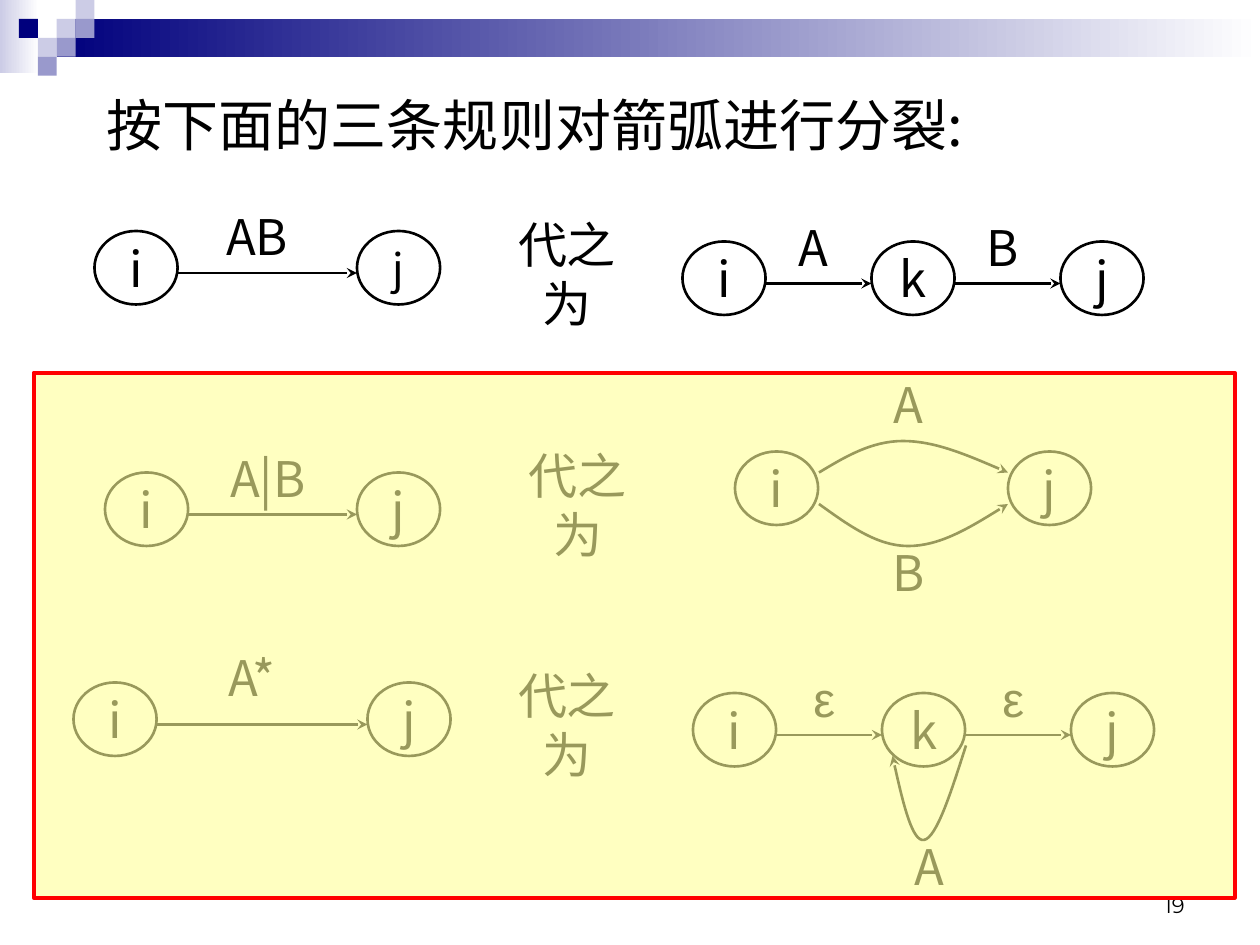
from itertools import pairwise
from lxml.etree import SubElement
from pptx import Presentation
from pptx.dml.color import RGBColor
from pptx.enum.shapes import MSO_CONNECTOR, MSO_SHAPE
from pptx.enum.text import MSO_ANCHOR, PP_ALIGN
from pptx.oxml.ns import qn
from pptx.util import Inches, Pt

RECT, OVAL = MSO_SHAPE.RECTANGLE, MSO_SHAPE.OVAL
LINE = MSO_CONNECTOR.STRAIGHT
TOP, MID, LOW = MSO_ANCHOR.TOP, MSO_ANCHOR.MIDDLE, MSO_ANCHOR.BOTTOM
CENTER, RIGHT, JUST = PP_ALIGN.CENTER, PP_ALIGN.RIGHT, PP_ALIGN.JUSTIFY
SANS, LATIN, PAGE = "Noto Sans CJK SC", "Arial", "Montserrat"
HUE = {
    "ink": "000000", "white": "FFFFFF", "navy": "00007D", "pale": "CCCCE6",
    "mid": "9999CC", "red": "FF0000", "cream": "FFFF99",
}

COLS, ROWS = 120, 90
UNIT = Inches(10) / COLS
WIDE, HIGH, DROP = 7.92, 7, 4
TAG = 11
TILE = 1.8

BARS = [((0, 0, 3.7, 7), "pale"), ((5.4, TILE, 114.6, 3.6), "navy")]
TILES = [
    (3, 1, "pale"), (4, 0, "pale"), (4, 1, "mid"), (2, 2, "pale"),
    (1, 1, "navy"), (3, 2, "mid"), (2, 3, "mid"),
]
CHAINS = [
    (22, [(9, "i", 28), (34, "j", 24)]),
    (23, [(65, "i", 28), (83, "k", 28), (101, "j", 28)]),
    (45, [(10, "i", 28), (34, "j", 28)]),
    (65, [(7, "i", 28), (35, "j", 28)]),
    (66, [(66, "i", 28), (84, "k", 28), (102, "j", 28)]),
]
FORK = (43, [(70, "i", 28), (96, "j", 28)])
TAGS = [
    ("AB", 19, 19, SANS), ("A", 72, 20, SANS), ("B", 90, 20, SANS),
    ("A|B", 20, 42, SANS), ("A", 81, 35, SANS), ("B", 81, 51, SANS),
    ("A*", 18.5, 61, SANS), ("ε", 73, 63, LATIN), ("ε", 91, 63, LATIN),
    ("A", 83, 79, SANS),
]
SWAPS = [(47, 22), (48, 44), (47, 65)]
CURVES = [
    [(78, 45), (80.5, 43.5), (83, 42), (86, 42), (89, 42), (92.5, 43.5), (96, 45)],
    [(78, 48), (80.8, 50), (83.5, 52), (86.5, 52), (89.5, 52), (92.8, 50), (96, 48)],
    [(92, 71), (90.6, 75.4), (89.2, 79.8), (88, 80), (86.9, 80.2), (85.9, 76.1), (85, 72)],
]

deck = Presentation()
deck.slide_width, deck.slide_height = round(COLS * UNIT), round(ROWS * UNIT)
slide = deck.slides.add_slide(deck.slide_layouts[6])
shapes = slide.shapes


def emu(*vals):
    return [round(v * UNIT) for v in vals]


def rgb(name):
    return RGBColor.from_string(HUE[name])


def block(box, fill=None, line=None, width=1.5, kind=RECT):
    item = shapes.add_shape(kind, *emu(*box))
    item.shadow.inherit = False
    if fill:
        item.fill.solid()
        item.fill.fore_color.rgb = rgb(fill)
    else:
        item.fill.background()
    if line:
        stroke(item, line, width)
    else:
        item.line.fill.background()
    return item


def stroke(item, hue="ink", width=1.5):
    item.line.color.rgb = rgb(hue)
    item.line.width = Pt(width)


def arrow(item):
    stroke(item)
    props = item._element.spPr
    SubElement(props.find(qn("a:ln")), qn("a:tailEnd"), type="stealth")
    if props.find(qn("a:effectLst")) is None:
        SubElement(props, qn("a:effectLst"))


def write(item, text, size=28, face=SANS, align=CENTER, anchor=MID, wrap=False):
    frame = item.text_frame
    frame.word_wrap = wrap
    frame.vertical_anchor = anchor
    para = frame.paragraphs[0]
    para.text = text
    para.alignment = align
    font = para.font
    font.size = Pt(size)
    font.color.rgb = rgb("ink")
    font.name = face
    props = para._p.pPr.find(qn("a:defRPr"))
    SubElement(props, qn("a:ea"), typeface=face)


def label(box, text, **style):
    write(shapes.add_textbox(*emu(*box)), text, **style)


def nodes(top, items):
    for left, text, size in items:
        write(block((left, top, WIDE, HIGH), line="ink", kind=OVAL), text, size)


def curve(points):
    spots = [emu(*point) for point in points]
    pen = shapes.build_freeform(*spots[0], scale=1.0)
    pen.add_line_segments(spots[1:], close=False)
    item = pen.convert_to_shape()
    item.shadow.inherit = False
    item.fill.background()
    steps = list(item._element.iter(qn("a:lnTo")))
    for k in range(0, len(steps), 3):
        first, *rest = steps[k:k + 3]
        bend = SubElement(first.getparent(), qn("a:cubicBezTo"))
        for step in (first, *rest):
            bend.append(step[0])
            step.getparent().remove(step)
    arrow(item)


for box, hue in BARS:
    fill = block(box).fill
    fill.gradient()
    fill.gradient_angle = 0
    for stop, tone, pos in zip(fill.gradient_stops, (hue, "white"), (0, 1)):
        stop.color.rgb = rgb(tone)
        stop.position = pos
for col, row, hue in TILES:
    block((col * TILE, row * TILE, TILE, TILE), hue)

label((86, 82, 28, 6), "19", size=12, face=PAGE, align=RIGHT, anchor=LOW, wrap=True)
label((9, 8, 102, 9), "按下面的三条规则对箭弧进行分裂:", size=32, align=JUST, anchor=TOP, wrap=True)
for left, top in SWAPS:
    label((left, top, 14, 8), "代之为")

for top, items in CHAINS:
    nodes(top, items)
    for (start, *_), (end, *_) in pairwise(items):
        y = top + DROP
        arrow(shapes.add_connector(LINE, *emu(start + WIDE, y, end, y)))
nodes(*FORK)
for points in CURVES:
    curve(points)
for text, left, top, face in TAGS:
    label((left, top, TAG, HIGH), text, face=face)

panel = block((3.2, 35.5, 114.4, 50), "cream", "red", 2.25)
tint = panel._element.spPr.find(qn("a:solidFill"))[0]
SubElement(tint, qn("a:alpha"), val="60000")

deck.save("out.pptx")
